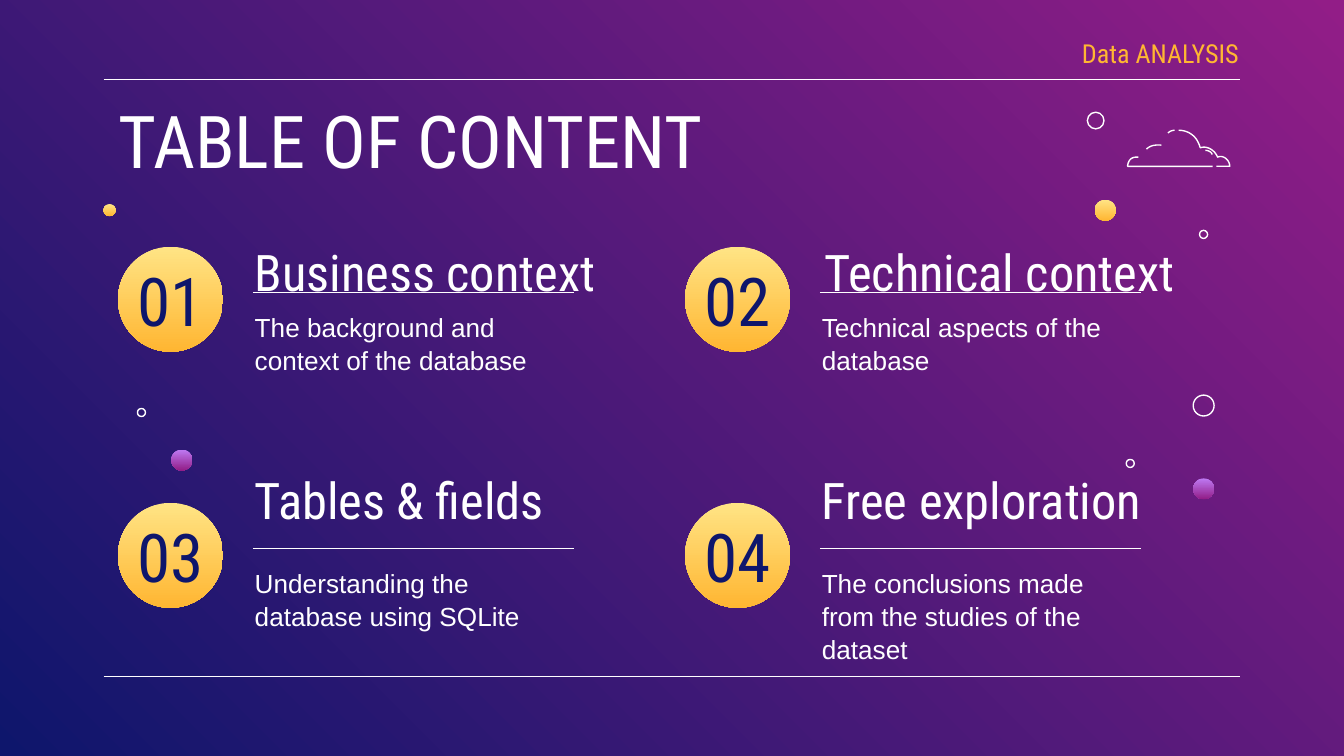
from dataclasses import dataclass
from math import comb

import pptx
import pptx.dml.color
import pptx.dml.fill
import pptx.enum.shapes
import pptx.enum.text
import pptx.oxml
import pptx.oxml.ns
import pptx.shapes.autoshape
import pptx.slide
import pptx.util

Pt = pptx.util.Pt
Align = pptx.enum.text.PP_ALIGN
Anchor = pptx.enum.text.MSO_ANCHOR

COLORS = {
    "white": "FFFFFF",
    "navy": "0E166C",
    "magenta": "921D87",
    "lilac": "BE7AF3",
    "cream": "FFE485",
    "amber": "FFB632",
}
GOLD = ("cream", "amber")
PURPLE = ("lilac", "magenta")
HEADING_FONT = "Roboto Condensed"
BODY_FONT = "Arial"
LINE_WIDTH = 0.75
INSET = 7.2

RULE_LEFT, RULE_RIGHT = 55.5, 664.5
ITEM_LEFT, ITEM_TOP = 63.2, 132.2
COLUMN_PITCH, ROW_PITCH = 303.8, 137.2
BADGE_SIZE = 56.2
HEADING_TOPS = (121.7, 244.1)
CURVE_STEPS = 12

Point = tuple[float, float]


@dataclass
class Item:
    heading: str
    description: str
    heading_shift: float = 0


@dataclass
class Dot:
    x: float
    y: float
    diameter: float
    gradient: tuple[str, str] | None = None


@dataclass
class Stroke:
    start: Point
    segments: list[list[Point]]


@dataclass
class TextStyle:
    size: float
    color: str = "white"
    font: str = HEADING_FONT
    align: Align = Align.LEFT
    anchor: Anchor = Anchor.TOP
    right_inset: float = INSET
    line_spacing: float = 1.0


TITLE = TextStyle(39)
HEADING = TextStyle(27)
DESCRIPTION = TextStyle(14, font=BODY_FONT, line_spacing=1.06)
NUMBER = TextStyle(36, "navy", align=Align.CENTER, anchor=Anchor.MIDDLE)
HEADER = TextStyle(14, "amber", align=Align.RIGHT, anchor=Anchor.MIDDLE, right_inset=0)

ITEMS = [
    Item("Business context", "The background and context of the database"),
    Item("Technical context", "Technical aspects of the database", 1.4),
    Item("Tables & fields", "Understanding the database using SQLite"),
    Item("Free exploration", "The conclusions made from the studies of the dataset"),
]

DOTS = [
    Dot(592.1, 112.6, 11.2, GOLD),
    Dot(58.7, 112.6, 6.5, GOLD),
    Dot(644.8, 261.9, 11.2, PURPLE),
    Dot(97.4, 246.5, 11.2, PURPLE),
    Dot(587, 64.6, 8.9),
    Dot(644.8, 217.3, 11.2),
    Dot(644.8, 125.6, 4.3),
    Dot(605.5, 248.3, 4.3),
    Dot(75.8, 221, 4.3),
]

# A segment of one point is straight; one of three points is a cubic curve.
CLOUD = [
    Stroke((631.4, 69.8), [
        [(637.2, 69.8), (641.5, 73.4), (643, 79.2)],
        [(646.6, 77.8), (650.9, 80.6), (652.3, 84.2)],
        [(655.2, 82.8), (658.8, 85.7), (658.8, 89.1)],
        [(651.6, 89.1)],
    ]),
    Stroke((629.3, 69.8), [[(629.3, 69.8), (627.1, 69.8), (625.7, 71.3)]]),
    Stroke((649.6, 89.1), [[(604.1, 89.1)], [(604.1, 89.1), (604.1, 83.5), (609.8, 84.2)]]),
    Stroke((645.8, 80.6), [[(645.8, 80.6), (648.7, 80.6), (649.4, 82.8)]]),
    Stroke((622.1, 77.8), [[(622.1, 77.8), (617, 77), (614.2, 79.9)]]),
]


def rgb(name: str) -> pptx.dml.color.RGBColor:
    return pptx.dml.color.RGBColor.from_string(COLORS[name])


def apply_gradient(fill: pptx.dml.fill.FillFormat, names: tuple[str, str], angle: float) -> None:
    """Fill with two colours; the angle runs counter-clockwise."""
    fill.gradient()
    fill.gradient_angle = angle
    for stop, name, position in zip(fill.gradient_stops, names, (0, 1)):
        stop.color.rgb = rgb(name)
        stop.position = position


def outline_only(shape: pptx.shapes.autoshape.Shape) -> None:
    shape.shadow.inherit = False
    shape.fill.background()
    shape.line.color.rgb = rgb("white")
    shape.line.width = Pt(LINE_WIDTH)


def add_rule(slide: pptx.slide.Slide, left: float, right: float, y: float) -> None:
    rule = slide.shapes.add_connector(
        pptx.enum.shapes.MSO_CONNECTOR.STRAIGHT, Pt(left), Pt(y), Pt(right), Pt(y))
    rule.line.color.rgb = rgb("white")
    rule.line.width = Pt(LINE_WIDTH)
    properties = rule._element.spPr
    properties.append(properties.makeelement(pptx.oxml.ns.qn("a:effectLst"), {}))


def add_dot(slide: pptx.slide.Slide, dot: Dot) -> None:
    radius = dot.diameter / 2
    shape = slide.shapes.add_shape(
        pptx.enum.shapes.MSO_SHAPE.OVAL,
        Pt(dot.x - radius), Pt(dot.y - radius), Pt(dot.diameter), Pt(dot.diameter))
    outline_only(shape)
    if dot.gradient:
        apply_gradient(shape.fill, dot.gradient, 270)
        shape.line.fill.background()


def add_text(slide: pptx.slide.Slide, text: str, left: float, top: float,
             width: float, height: float, style: TextStyle) -> None:
    frame = slide.shapes.add_textbox(Pt(left), Pt(top), Pt(width), Pt(height)).text_frame
    frame.word_wrap = True
    frame.vertical_anchor = style.anchor
    frame.margin_left = frame.margin_top = frame.margin_bottom = Pt(INSET)
    frame.margin_right = Pt(style.right_inset)
    paragraph = frame.paragraphs[0]
    paragraph.text = text
    paragraph.alignment = style.align
    paragraph.line_spacing = style.line_spacing
    paragraph.font.name = style.font
    paragraph.font.size = Pt(style.size)
    paragraph.font.color.rgb = rgb(style.color)


def bezier_point(controls: list[Point], t: float) -> Point:
    degree = len(controls) - 1
    weights = [comb(degree, i) * t**i * (1 - t) ** (degree - i) for i in range(degree + 1)]
    return (sum(w * x for w, (x, _) in zip(weights, controls)),
            sum(w * y for w, (_, y) in zip(weights, controls)))


def add_stroke(slide: pptx.slide.Slide, stroke: Stroke) -> None:
    points = [stroke.start]
    for segment in stroke.segments:
        controls = [points[-1], *segment]
        steps = CURVE_STEPS if len(segment) > 1 else 1
        points += [bezier_point(controls, step / steps) for step in range(1, steps + 1)]
    vertices = [(Pt(x), Pt(y)) for x, y in points]
    builder = slide.shapes.build_freeform(*vertices[0])
    builder.add_line_segments(vertices[1:], close=False)
    outline_only(builder.convert_to_shape())


def add_item(slide: pptx.slide.Slide, index: int, item: Item) -> None:
    row, column = divmod(index, 2)
    left = ITEM_LEFT + column * COLUMN_PITCH
    top = ITEM_TOP + row * ROW_PITCH
    radius = BADGE_SIZE / 2
    add_dot(slide, Dot(left + radius, top + radius, BADGE_SIZE, GOLD))
    add_rule(slide, left + 72.3, left + 244.2, top + 24.4)
    add_text(slide, f"{index + 1:02}", left, top + 14.4, BADGE_SIZE, 27.4, NUMBER)
    add_text(slide, item.heading, left + 66.2 + item.heading_shift, HEADING_TOPS[row],
             220, 34.6, HEADING)
    add_text(slide, item.description, left + 66.2, top + 26.2, 175.7, 44.6, DESCRIPTION)


def main() -> None:
    presentation = pptx.Presentation()
    presentation.slide_width, presentation.slide_height = Pt(720), Pt(405)
    slide = presentation.slides.add_slide(presentation.slide_layouts[6])
    apply_gradient(slide.background.fill, ("magenta", "navy"), 225)

    for y in (42.6, 362.6):
        add_rule(slide, RULE_LEFT, RULE_RIGHT, y)
    add_text(slide, "TABLE OF CONTENT", 56.2, 43.9, 607.7, 47.5, TITLE)
    add_text(slide, "Data ANALYSIS", 555.8, 16.6, 108, 23.8, HEADER)
    for index, item in enumerate(ITEMS):
        add_item(slide, index, item)
    for stroke in CLOUD:
        add_stroke(slide, stroke)
    for dot in DOTS:
        add_dot(slide, dot)
    presentation.save("out.pptx")


if __name__ == "__main__":
    main()
